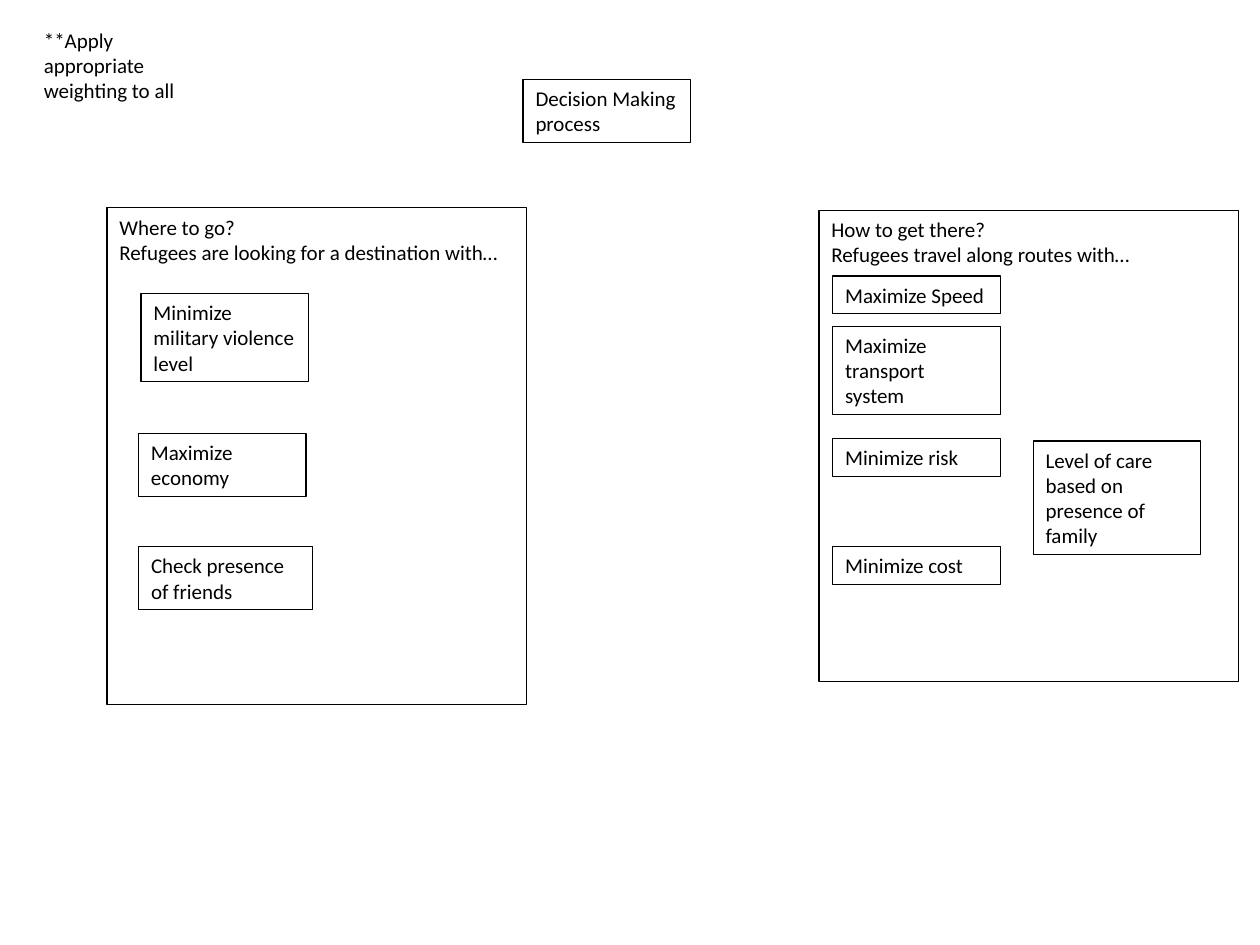
"""Build the slide on how refugees choose a destination and a route."""
from pptx import Presentation
from pptx import util as u
from pptx.dml.color import RGBColor
from pptx.enum import text

HUES = {"ink": "000000", "paper": "FFFFFF"}
WIDE = 1.33
LINE = 0.2
ROUTE = 6.61


def tall(rows):
    """Return the height of a box that holds the given rows of text."""
    return 0.1 + LINE * rows


def style(box, words, edge="ink"):
    """Set the text, outline and font of a box."""
    box.line.color.rgb = RGBColor.from_string(HUES[edge])
    box.line.width = u.Pt(0.75)
    frame = box.text_frame
    frame.text = words
    frame.word_wrap = True
    frame.auto_size = text.MSO_AUTO_SIZE.NONE
    frame.vertical_anchor = text.MSO_ANCHOR.TOP
    for para in frame.paragraphs:
        para.alignment = text.PP_ALIGN.LEFT
        para.line_spacing = 1.0
        for run in para.runs:
            run.font.name = "Calibri"
            run.font.size = u.Pt(12)
            run.font.color.rgb = RGBColor.from_string(HUES["ink"])


def add_title(slide, words, *area):
    """Place the slide title in a framed box."""
    title = slide.shapes.title
    title.left, title.top, title.width, title.height = map(u.Inches, area)
    style(title, words)


def add_box(slide, words, x, y, w, h, edge="ink"):
    """Add a framed box of text."""
    box = slide.shapes.add_textbox(*map(u.Inches, (x, y, w, h)))
    style(box, words, edge)


def main():
    """Build and save the slide."""
    deck = Presentation()
    deck.slide_width, deck.slide_height = u.Inches(10), u.Inches(7.5)
    slide = deck.slides.add_slide(deck.slide_layouts[5])

    add_title(slide, "Decision Making process", 4.15, 0.63, WIDE, tall(2))
    add_box(slide, "**Apply appropriate weighting to all",
            0.25, 0.17, WIDE, tall(3), "paper")
    add_box(slide, "Where to go?\nRefugees are looking for a destination with…",
            0.85, 1.65, 3.33, 3.94)
    add_box(slide, "How to get there?\nRefugees travel along routes with…",
            6.5, 1.67, 3.33, 3.74)

    goals = [
        ("Minimize military violence level", 1.12, 2.33, WIDE, 3),
        ("Maximize economy", 1.1, 3.44, WIDE, 2),
        ("Check presence of friends", 1.1, 4.34, 1.38, 2),
        ("Maximize Speed", ROUTE, 2.19, WIDE, 1),
        ("Maximize transport system", ROUTE, 2.59, WIDE, 3),
        ("Minimize risk", ROUTE, 3.48, WIDE, 1),
        ("Minimize cost", ROUTE, 4.34, WIDE, 1),
        ("Level of care based on presence of family", 8.2, 3.5, WIDE, 4),
    ]
    for words, x, y, w, rows in goals:
        add_box(slide, words, x, y, w, tall(rows))

    deck.save("out.pptx")


if __name__ == "__main__":
    main()
